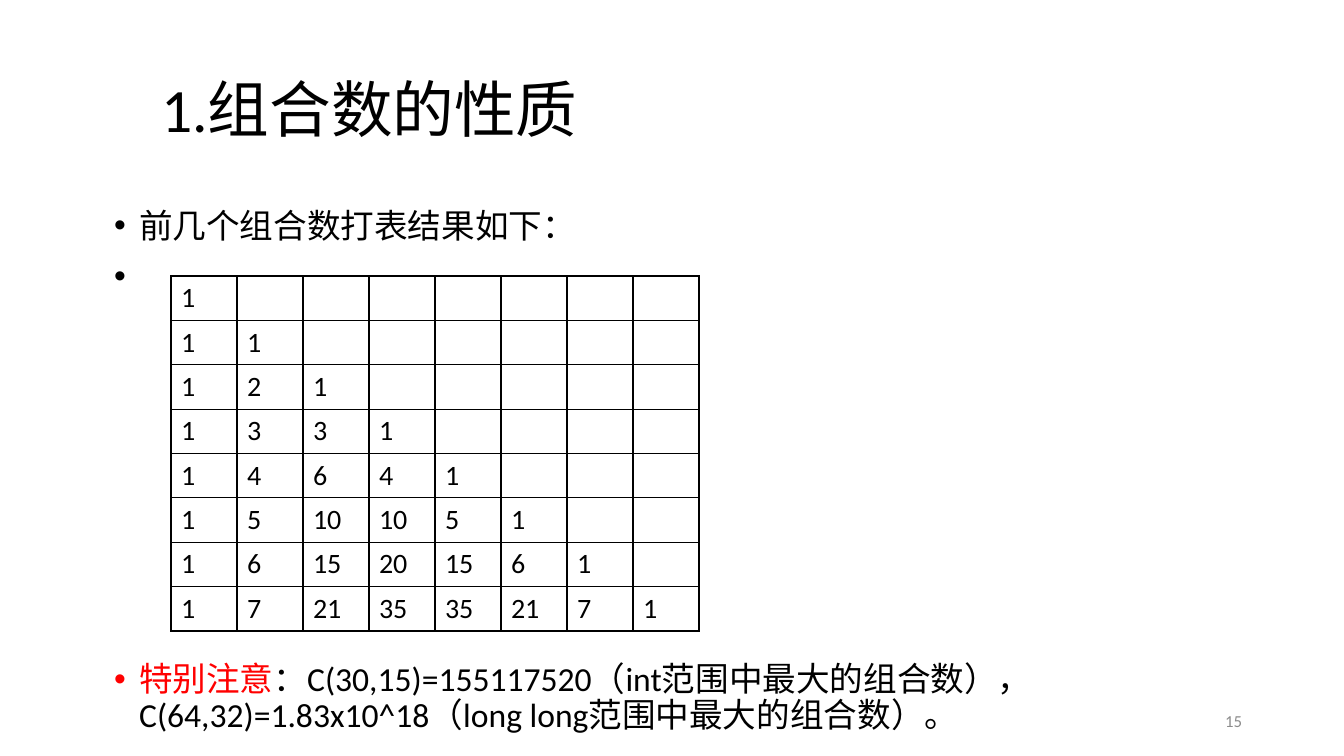
from math import comb

from lxml import etree
from pptx import Presentation
from pptx.dml.color import RGBColor
from pptx.enum.text import MSO_ANCHOR, MSO_AUTO_SIZE, PP_ALIGN
from pptx.oxml.ns import qn
from pptx.util import Pt

EMU_PER_PIXEL = 914400 / 100.8
FONT = "Calibri"
BLACK = RGBColor(0x00, 0x00, 0x00)
RED = RGBColor(0xFF, 0x00, 0x00)
GRAY = RGBColor(0x8C, 0x8C, 0x8C)
MIDDLE = MSO_ANCHOR.MIDDLE
LEFT, RIGHT = PP_ALIGN.LEFT, PP_ALIGN.RIGHT
NO_AUTOFIT = MSO_AUTO_SIZE.NONE

TRIANGLE_SIZE = 8
COLUMN_WIDTH = 66
ROW_HEIGHT = 44.4
BULLET_INDENT = 25
TABLE_GAP = Pt(262)
BULLETS = [
    [("前几个组合数打表结果如下:".replace(":", "："), BLACK)],
    [(" ", BLACK)],
    [("特别注意", RED),
     ("：C(30,15)=155117520（int范围中最大的组合数），"
      "C(64,32)=1.83x10^18（long long范围中最大的组合数）。", BLACK)],
]


def px(length):
    """Turn pixels into EMU."""
    return round(length * EMU_PER_PIXEL)


def place(shape, left, top, width, height):
    """Move and size a shape, in pixels."""
    shape.left, shape.top = px(left), px(top)
    shape.width, shape.height = px(width), px(height)


def add_run(paragraph, text, size, color):
    """Append a formatted run to a paragraph."""
    run = paragraph.add_run()
    run.text = text
    run.font.name = FONT
    run.font.size = Pt(size)
    run.font.color.rgb = color


def fill_title(title, text):
    """Place and format the slide title."""
    place(title, 151, 40, 1043, 146)
    frame = title.text_frame
    frame.auto_size = NO_AUTOFIT
    frame.vertical_anchor = MIDDLE
    paragraph = frame.paragraphs[0]
    paragraph.alignment = LEFT
    paragraph.line_spacing = 0.9
    add_run(paragraph, text, 44, BLACK)


def fill_body(body, bullets):
    """Write the bullets, leaving room for the table before the last one."""
    place(body, 104, 204, 1068, 537)
    frame = body.text_frame
    frame.auto_size = NO_AUTOFIT
    for index, runs in enumerate(bullets):
        paragraph = frame.add_paragraph() if index else frame.paragraphs[0]
        paragraph.line_spacing = 0.9
        paragraph.space_before = Pt(10)
        properties = paragraph._p.get_or_add_pPr()
        properties.set("marL", str(px(BULLET_INDENT)))
        properties.set("indent", str(-px(BULLET_INDENT)))
        for text, color in runs:
            add_run(paragraph, text, 24, color)
    paragraph.space_before = TABLE_GAP


def add_borders(cell):
    """Draw a thin black line on every side of a cell."""
    properties = cell._tc.get_or_add_tcPr()
    for side in ("a:lnL", "a:lnR", "a:lnT", "a:lnB"):
        line = etree.SubElement(properties, qn(side), w=str(Pt(1)))
        fill = etree.SubElement(line, qn("a:solidFill"))
        etree.SubElement(fill, qn("a:srgbClr"), val=str(BLACK))


def add_triangle(slide, left, top):
    """Add the table of binomial coefficients."""
    size = TRIANGLE_SIZE
    table = slide.shapes.add_table(
        size, size, px(left), px(top),
        px(size * COLUMN_WIDTH), px(size * ROW_HEIGHT)).table
    table.first_row = table.horz_banding = False
    for index in range(size):
        table.columns[index].width = px(COLUMN_WIDTH)
        table.rows[index].height = px(ROW_HEIGHT)
    for row in range(size):
        for column in range(size):
            cell = table.cell(row, column)
            add_borders(cell)
            cell.fill.background()
            if column <= row:
                add_run(cell.text_frame.paragraphs[0],
                        str(comb(row, column)), 20, BLACK)


def add_page_number(slide, text):
    """Add the page number at the bottom right."""
    box = slide.shapes.add_textbox(0, 0, 0, 0)
    place(box, 950, 701, 302, 40)
    frame = box.text_frame
    frame.word_wrap = True
    frame.vertical_anchor = MIDDLE
    paragraph = frame.paragraphs[0]
    paragraph.alignment = RIGHT
    add_run(paragraph, text, 12, GRAY)


def main():
    """Build and save the slide."""
    presentation = Presentation()
    presentation.slide_width, presentation.slide_height = px(1344), px(756)
    slide = presentation.slides.add_slide(presentation.slide_layouts[1])
    fill_title(slide.shapes.title, "1.组合数的性质")
    fill_body(slide.placeholders[1], BULLETS)
    add_page_number(slide, "15")
    add_triangle(slide, 171, 276)
    presentation.save("out.pptx")


main()
